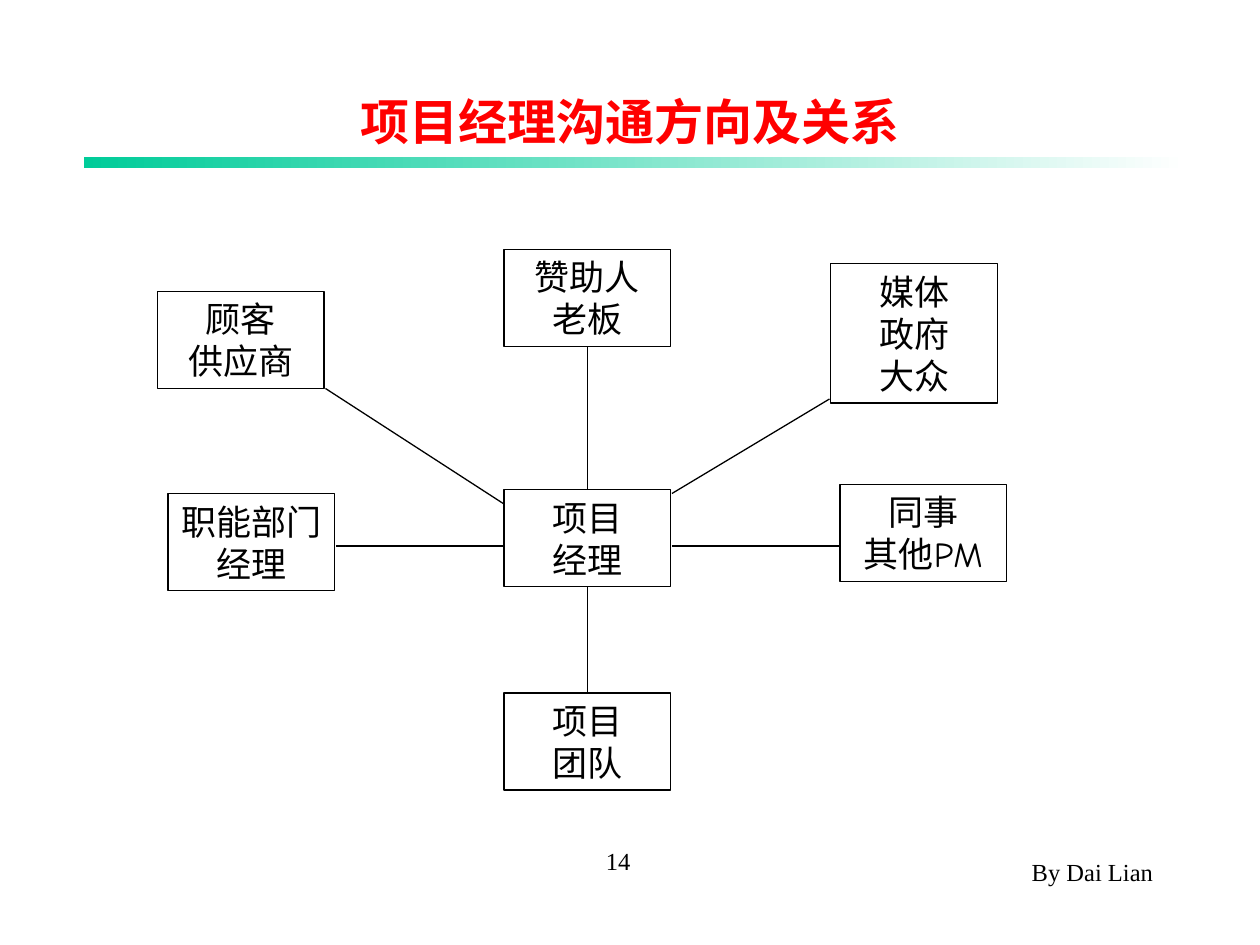
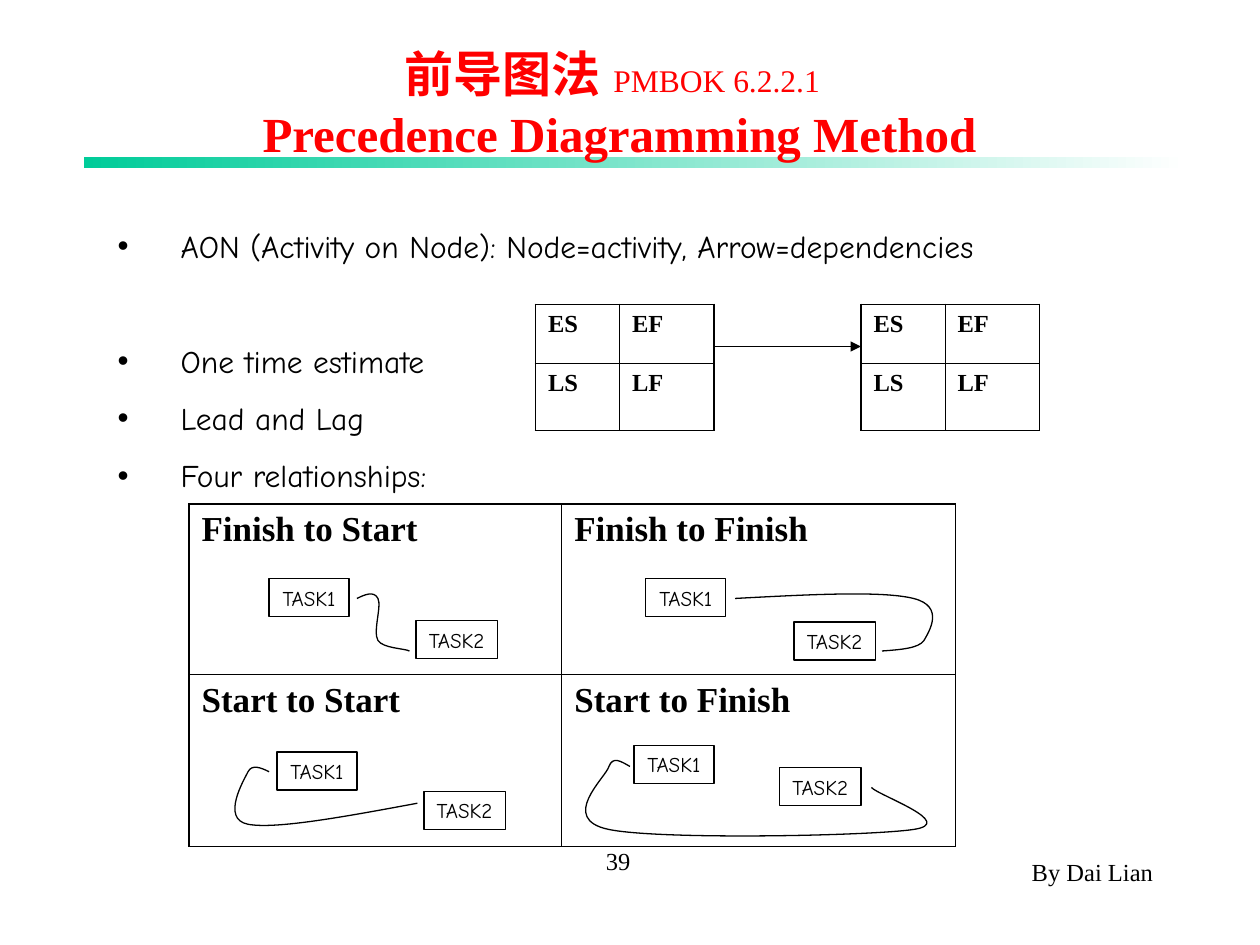
from dataclasses import dataclass

from pptx import Presentation
from pptx.dml.color import RGBColor
from pptx.enum.shapes import MSO_CONNECTOR, MSO_SHAPE
from pptx.enum.text import MSO_ANCHOR, MSO_AUTO_SIZE, PP_ALIGN
from pptx.oxml import parse_xml
from pptx.oxml.ns import nsdecls, qn
from pptx.util import Pt
from lxml.etree import SubElement

PX = 9525  # EMU per px, 96 px to the inch


@dataclass(frozen=True)
class Theme:
    ink: RGBColor = RGBColor(0x00, 0x00, 0x00)
    title: RGBColor = RGBColor(0xFF, 0x00, 0x00)
    band: RGBColor = RGBColor(0x00, 0xCC, 0x99)
    paper: RGBColor = RGBColor(0xFF, 0xFF, 0xFF)
    serif: str = "Times New Roman"
    hand: str = "Comic Neue"
    title_size: int = 28
    title_gap_size: int = 32
    reference_size: int = 18
    list_size: int = 18
    role_size: int = 20
    task_size: int = 12
    footer_size: int = 14
    line: float = 0.75
    border_outer: float = 1.08
    border_inner: float = 0.45


theme = Theme()


def style_font(font, size, name=theme.serif, color=theme.ink, bold=False):
    font.size = Pt(size)
    font.name = name
    font.color.rgb = color
    font.bold = bold


def add_box(slide, left, top, width, height, text, size, wrap=True):
    """Add an outlined rectangle with centred text, one paragraph per line."""
    box = slide.shapes.add_shape(
        MSO_SHAPE.RECTANGLE, left * PX, top * PX, width * PX, height * PX)
    box.shadow.inherit = False
    box.fill.background()
    box.line.color.rgb = theme.ink
    box.line.width = Pt(theme.line)
    frame = box.text_frame
    frame.word_wrap = wrap
    frame.vertical_anchor = MSO_ANCHOR.MIDDLE
    frame.text = text
    for paragraph in frame.paragraphs:
        paragraph.alignment = PP_ALIGN.CENTER
        style_font(paragraph.font, size, theme.hand)
    return box


presentation = Presentation()
presentation.slide_width = 960 * PX
presentation.slide_height = 720 * PX
relations_slide = presentation.slides.add_slide(presentation.slide_layouts[5])
precedence_slide = presentation.slides.add_slide(presentation.slide_layouts[1])

# Band on the master, shared by both slides
band = relations_slide.shapes.add_shape(
    MSO_SHAPE.RECTANGLE, 64 * PX, 120 * PX, 840 * PX, 8 * PX)
band.shadow.inherit = False
band.line.fill.background()
band.fill.gradient()
band.fill.gradient_angle = 0
for stop, color in zip(band.fill.gradient_stops, (theme.band, theme.paper)):
    stop.color.rgb = color
presentation.slide_master.shapes.element.insert(2, band.element)

# Titles and footers
title_size, gap_size = theme.title_size, theme.title_gap_size
relations_title = [("项目经理沟通方向及关系", title_size, True)]
precedence_title = [
    ("前导图法", title_size, True),
    (" ", gap_size, True),
    ("PMBOK 6.2.2.1", theme.reference_size, False),
    (" ", gap_size, True),
    ("\n", gap_size, True),
    ("Precedence Diagramming Method", title_size, True),
]
for slide, left, top, title_runs, page in (
    (relations_slide, 72, 48, relations_title, "14"),
    (precedence_slide, 64, 32, precedence_title, "39"),
):
    title = slide.shapes.title
    title.left, title.top = left * PX, top * PX
    title.width, title.height = 816 * PX, 88 * PX
    title.text_frame.auto_size = MSO_AUTO_SIZE.NONE
    title.text_frame.vertical_anchor = MSO_ANCHOR.MIDDLE
    paragraph = title.text_frame.paragraphs[0]
    paragraph.alignment = PP_ALIGN.CENTER
    for text, size, bold in title_runs:
        if text == "\n":
            paragraph.add_line_break()
            continue
        run = paragraph.add_run()
        run.text = text
        style_font(run.font, size, color=theme.title, bold=bold)

    for text, left, top, width, alignment in (
        ("By Dai Lian", 584, 648, 304, PP_ALIGN.RIGHT),
        (page, 371, 640, 200, PP_ALIGN.CENTER),
    ):
        footer = slide.shapes.add_textbox(left * PX, top * PX, width * PX, 48 * PX)
        footer.text_frame.word_wrap = True
        footer.text_frame.text = text
        paragraph = footer.text_frame.paragraphs[0]
        paragraph.alignment = alignment
        style_font(paragraph.font, theme.footer_size)

# Slide 1: the project manager and the people around
manager, sponsor, team, *others = [
    add_box(relations_slide, left, top, 127, height, text, theme.role_size)
    for left, top, height, text in (
        (384, 373, 74, "项目\n经理"),
        (384, 190, 74, "赞助人\n老板"),
        (384, 528, 74, "项目\n团队"),
        (640, 369, 74, "同事\n其他PM"),
        (120, 222, 74, "顾客\n供应商"),
        (128, 376, 74, "职能部门经理"),
        (633, 201, 106, "媒体\n政府\n大众"),
    )
]

# Slide 2: list
body = precedence_slide.placeholders[1]
body.left, body.top = 80 * PX, 168 * PX
body.width, body.height = 792 * PX, 214 * PX
body.text_frame.auto_size = MSO_AUTO_SIZE.NONE
list_items = (
    ("AON (Activity on Node): Node=activity, Arrow=dependencies", 0),
    ("One time estimate", 44),
    ("Lead and Lag", 11.2),
    ("Four relationships:", 11.2),
)
body.text_frame.text = "\n".join(text for text, _ in list_items)
for paragraph, (_, space) in zip(body.text_frame.paragraphs, list_items):
    properties = paragraph._p.get_or_add_pPr()
    properties.set("marL", str(48 * PX))
    properties.set("indent", str(-48 * PX))
    paragraph.space_before = Pt(space)
    style_font(paragraph.font, theme.list_size, theme.hand)

# Slide 2: tables
node_cells = (("ES", "EF"), ("LS", "LF"))
relationship_cells = (("Finish to Start", "Finish to Finish"),
                      ("Start to Start", "Start to Finish"))
for left, top, widths, heights, cells, size in (
    (144, 384, (284, 300), (130, 131), relationship_cells, 20),
    (408, 232, (64, 72), (45, 51), node_cells, 14),
    (656, 232, (64, 72), (45, 51), node_cells, 14),
):
    table = precedence_slide.shapes.add_table(
        2, 2, left * PX, top * PX, sum(widths) * PX, sum(heights) * PX).table
    table.first_row = table.horz_banding = False
    for index in range(2):
        table.columns[index].width = widths[index] * PX
        table.rows[index].height = heights[index] * PX
    for row, texts in enumerate(cells):
        for column, text in enumerate(texts):
            cell = table.cell(row, column)
            cell.text = text
            style_font(cell.text_frame.paragraphs[0].font, size, bold=True)
            cell_properties = cell._tc.get_or_add_tcPr()
            for side, is_outer in (("L", column == 0), ("R", column == 1),
                                   ("T", row == 0), ("B", row == 1)):
                width = Pt(theme.border_outer if is_outer else theme.border_inner)
                cell_properties.append(parse_xml(
                    f'<a:ln{side} {nsdecls("a")} w="{width}"><a:solidFill>'
                    f'<a:srgbClr val="{theme.ink}"/></a:solidFill></a:ln{side}>'))
            cell.fill.background()

# Slide 2: task pairs, each with the curve (start, then Bézier triples) joining them
for first_task, second_task, curve in (
    ((205, 441), (317, 473),
     [(272, 456), (278, 453), (285, 450), (288, 456), (291, 462), (284, 481),
      (288, 488), (292, 494), (308, 494), (312, 496)]),
    ((492, 441), (605, 474),
     [(560, 456), (616, 453), (672, 450), (696, 456), (720, 462), (708, 481),
      (704, 488), (700, 494), (686, 495), (672, 496)]),
    ((211, 573), (323, 603),
     [(205, 588), (199, 585), (192, 582), (189, 588), (186, 594), (168, 624),
      (189, 628), (210, 632), (264, 622), (318, 612)]),
    ((483, 568), (594, 585),
     [(480, 584), (473, 580), (467, 576), (464, 584), (462, 592), (425, 624),
      (464, 632), (503, 640), (662, 637), (696, 632), (730, 627), (669, 606),
      (664, 600)]),
):
    add_box(precedence_slide, *first_task, 61, 29, "TASK1", theme.task_size, wrap=False)
    add_box(precedence_slide, *second_task, 62, 29, "TASK2", theme.task_size, wrap=False)
    builder = precedence_slide.shapes.build_freeform(*curve[0], scale=PX)
    builder.add_line_segments(curve[1:], close=False)
    link = builder.convert_to_shape()
    link.shadow.inherit = False
    link.fill.background()
    link.line.color.rgb = theme.ink
    link.line.width = Pt(theme.line)
    # Turn every three line segments into one cubic Bézier segment
    outline = next(link.element.iter(qn("a:path")))
    segments = outline.findall(qn("a:lnTo"))
    for start in range(0, len(segments), 3):
        bezier = SubElement(outline, qn("a:cubicBezTo"))
        for segment in segments[start:start + 3]:
            bezier.append(segment[0])
            outline.remove(segment)

# Connectors on both slides
connectors = []
for slide, begin, end in (
    (relations_slide, (448, 264), (448, 373)),
    (relations_slide, (448, 447), (448, 528)),
    (relations_slide, (256, 416), (384, 416)),
    (relations_slide, (512, 416), (640, 416)),
    (relations_slide, (248, 296), (384, 384)),
    (relations_slide, (632, 304), (512, 376)),
    (precedence_slide, (544, 264), (656, 264)),
):
    connector = slide.shapes.add_connector(
        MSO_CONNECTOR.STRAIGHT, *(value * PX for value in begin + end))
    connector.line.color.rgb = theme.ink
    connector.line.width = Pt(theme.line)
    SubElement(connector.element.spPr, qn("a:effectLst"))
    connectors.append(connector)

sponsor_line, team_line, *_, dependency_arrow = connectors
sponsor_line.begin_connect(sponsor, 2)
sponsor_line.end_connect(manager, 0)
team_line.begin_connect(manager, 2)
team_line.end_connect(team, 0)
SubElement(dependency_arrow.line._get_or_add_ln(), qn("a:tailEnd"), type="triangle")

presentation.save("out.pptx")
